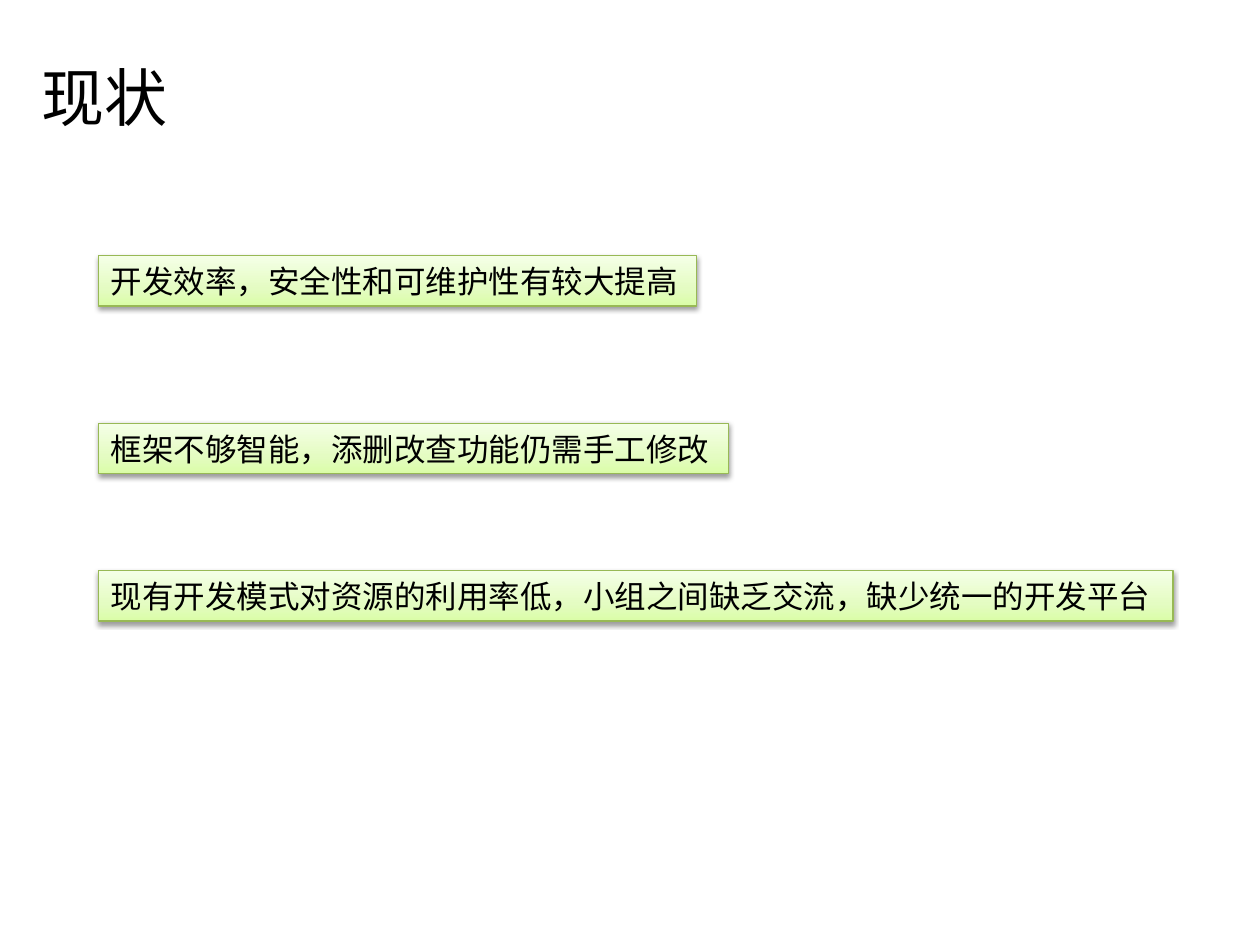
from lxml.etree import SubElement
from pptx import Presentation
from pptx.dml.color import RGBColor
from pptx.enum.shapes import MSO_SHAPE
from pptx.enum.text import MSO_ANCHOR, MSO_AUTO_SIZE, PP_ALIGN
from pptx.oxml.ns import qn
from pptx.util import Inches, Pt

BLACK = RGBColor(0x00, 0x00, 0x00)
BORDER_GREEN = RGBColor(0x98, 0xB9, 0x55)
GRADIENT = [
    (0, RGBColor(0xDA, 0xFD, 0xA7)),
    (35, RGBColor(0xE4, 0xFC, 0xC2)),
    (100, RGBColor(0xF5, 0xFF, 0xE7)),
]
TITLE_FONT = "Noto Sans CJK JP"
BODY_FONT = "Calibri"
STATEMENTS = [
    (2.03, 4.75, "开发效率，安全性和可维护性有较大提高"),
    (3.36, 5, "框架不够智能，添删改查功能仍需手工修改"),
    (4.53, 8.53, "现有开发模式对资源的利用率低，小组之间缺乏交流，缺少统一的开发平台"),
]


def write_text(shape, text, font_name, size):
    """Put one left-aligned, vertically centred line of text in a shape."""
    frame = shape.text_frame
    frame.text = text
    frame.vertical_anchor = MSO_ANCHOR.MIDDLE
    paragraph = frame.paragraphs[0]
    paragraph.alignment = PP_ALIGN.LEFT
    font = paragraph.runs[0].font
    font.name = font_name
    font.size = Pt(size)
    font.color.rgb = BLACK


def apply_gradient(shape):
    """Fill a shape with the green gradient, rising from bottom to top."""
    shape.fill.gradient()
    shape.fill.gradient_angle = 90
    stops = shape._element.spPr.find(qn("a:gradFill")).find(qn("a:gsLst"))
    for stop in list(stops):
        stops.remove(stop)
    for percent, color in GRADIENT:
        stop = SubElement(stops, qn("a:gs"), pos=str(percent * 1000))
        SubElement(stop, qn("a:srgbClr"), val=str(color))


def apply_shadow(shape):
    """Give a shape a soft shadow straight below it."""
    shape.shadow.inherit = False
    effects = shape._element.spPr.find(qn("a:effectLst"))
    shadow = SubElement(
        effects, qn("a:outerShdw"), blurRad=str(Pt(3.1)), dist=str(Pt(1.6)),
        dir="5400000", rotWithShape="0",
    )
    color = SubElement(shadow, qn("a:srgbClr"), val=str(BLACK))
    SubElement(color, qn("a:alpha"), val="38000")


def add_title(slide, left, top, width, height, text):
    """Add the slide title."""
    title = slide.shapes.add_textbox(left, top, width, height)
    title.text_frame.word_wrap = True
    write_text(title, text, TITLE_FONT, 36)
    properties = title.text_frame.paragraphs[0].runs[0].font._element
    SubElement(properties, qn("a:ea"), typeface=TITLE_FONT)


def add_statement(slide, left, top, width, height, text):
    """Add one green statement bar."""
    bar = slide.shapes.add_shape(MSO_SHAPE.RECTANGLE, left, top, width, height)
    apply_gradient(bar)
    bar.line.color.rgb = BORDER_GREEN
    bar.line.width = Pt(0.75)
    apply_shadow(bar)
    write_text(bar, text, BODY_FONT, 18)
    bar.text_frame.word_wrap = False
    bar.text_frame.auto_size = MSO_AUTO_SIZE.SHAPE_TO_FIT_TEXT


def main():
    """Build and save the status slide."""
    presentation = Presentation()
    presentation.slide_width = Inches(10)
    presentation.slide_height = Inches(7.5)
    slide = presentation.slides.add_slide(presentation.slide_layouts[6])
    add_title(slide, Inches(0.23), Inches(0.44), Inches(3.05), Inches(0.65), "现状")
    for top, width, text in STATEMENTS:
        add_statement(slide, Inches(0.78), Inches(top), Inches(width), Inches(0.4), text)
    presentation.save("out.pptx")


if __name__ == "__main__":
    main()
